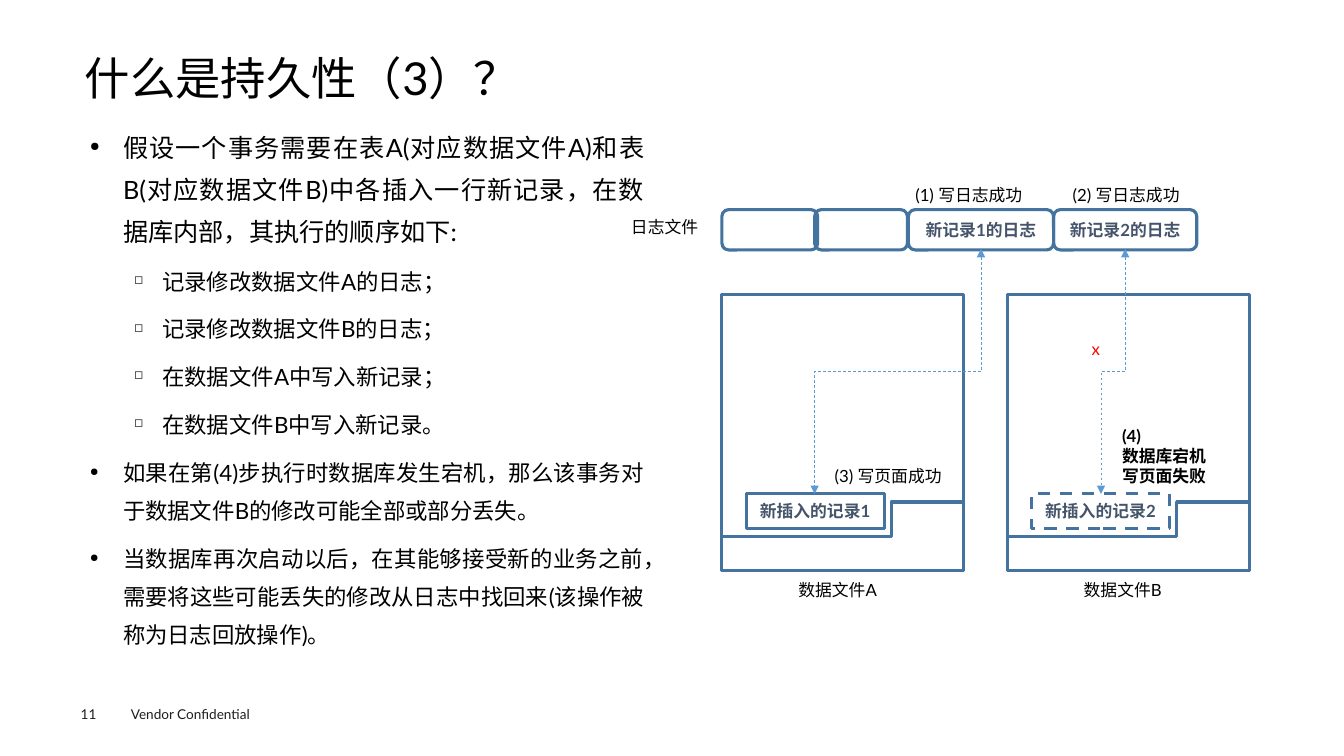
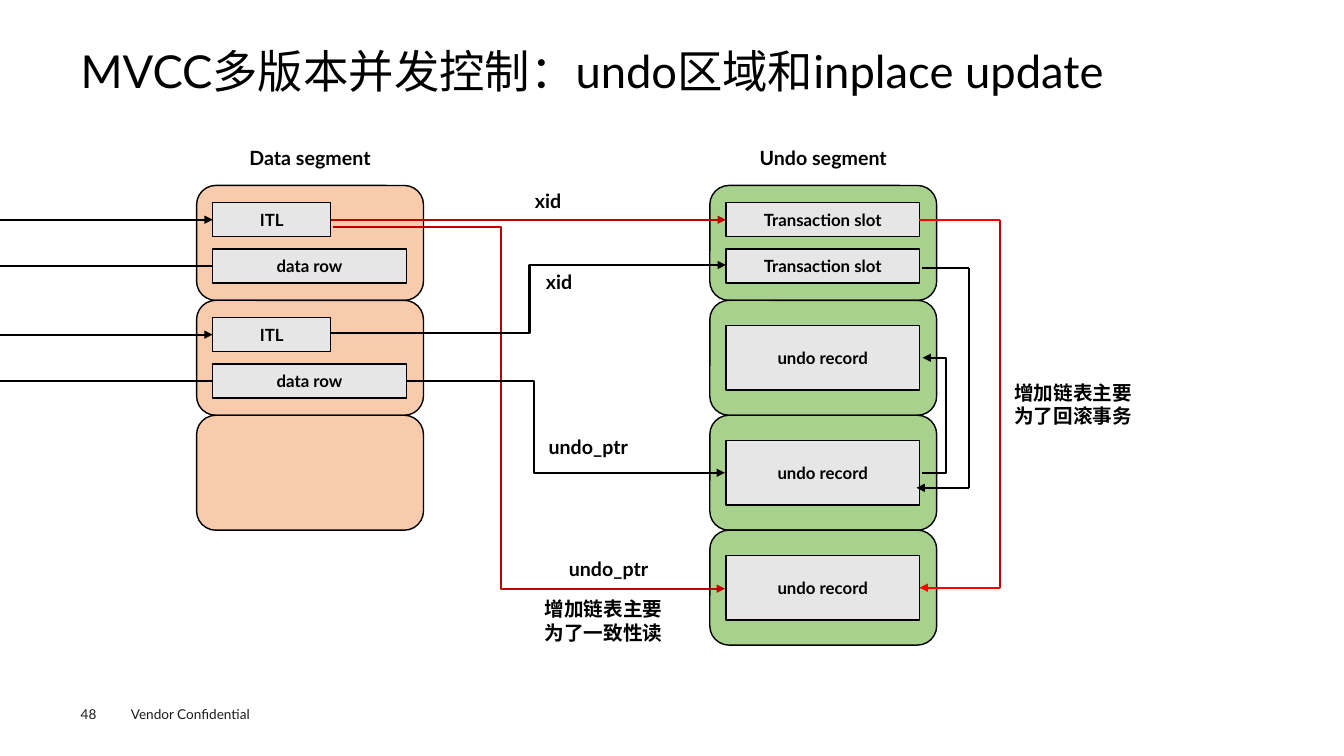
from dataclasses import dataclass

from lxml import etree
from pptx import Presentation, util as u
from pptx.dml.color import RGBColor
from pptx.enum import dml, shapes, text
from pptx.oxml.ns import qn

PX = 9144  # 100 px to the inch
FONT = "Lato"
COLORS = {
    "black": "000000", "foot": "1D1D1B", "frame": "43739E", "slate": "44546A",
    "sky": "5B9BD5", "red": "FF0000", "crimson": "C00000",
    "peach": "F8CBAD", "green": "A9D18E", "gray": "E7E6E6",
}
RECT = shapes.MSO_SHAPE.RECTANGLE
ROUND = shapes.MSO_SHAPE.ROUNDED_RECTANGLE
PAGE = shapes.MSO_SHAPE.FLOWCHART_ALTERNATE_PROCESS
LEFT, RIGHT = 1, 3


@dataclass
class Style:
    size: float = 12
    color: str = "black"
    bold: bool = False
    align: text.PP_ALIGN = text.PP_ALIGN.LEFT
    anchor: text.MSO_ANCHOR = text.MSO_ANCHOR.TOP
    pad: tuple = (10, 5)
    pitch: float = 1.0


@dataclass
class Look:
    fill: str = ""
    line: str = "black"
    width: float = 1
    dash: bool = False


@dataclass
class Item:
    words: str
    level: int = 0
    size: float = 16


MID = dict(align=text.PP_ALIGN.CENTER, anchor=text.MSO_ANCHOR.MIDDLE, bold=True)
TITLE = Style(32.4, pad=(0, 0), pitch=0.9)
FOOT = Style(9.7, "foot")
NUMBER = Style(9.7, "foot", pad=(0, 0))
NOTE = Style()
STRONG = Style(bold=True)
CELL = Style(color="slate", pad=(0, 0), **MID)
NODE = Style(pad=(0, 0), **MID)
LABEL = Style(14, **MID)

FRAME = Look(line="frame", width=2.25)
DASHED = Look(line="frame", width=2.25, dash=True)
GRAY = Look("gray")


def rgb(name: str) -> RGBColor:
    return RGBColor.from_string(COLORS[name])


def add_tag(parent, tag: str, **attrs):
    return etree.SubElement(parent, qn(tag), attrs)


def ink(para, size: float, color: str, bold: bool = False) -> None:
    for run in para.runs:
        font = run.font
        font.size, font.bold, font.name = u.Pt(size), bold, FONT
        font.color.rgb = rgb(color)
        add_tag(font._element, "a:ea", typeface=FONT)


def set_text(shape, words: str, style: Style) -> None:
    frame = shape.text_frame
    frame.text = words
    frame.word_wrap = True
    frame.auto_size = text.MSO_AUTO_SIZE.NONE
    frame.vertical_anchor = style.anchor
    frame.margin_left = frame.margin_right = style.pad[0] * PX
    frame.margin_top = frame.margin_bottom = style.pad[1] * PX
    for para in frame.paragraphs:
        para.alignment = style.align
        para.line_spacing = style.pitch
        ink(para, style.size, style.color, style.bold)


def add_text(slide, words: str, at: tuple, style: Style = NOTE):
    box = slide.shapes.add_textbox(*(n * PX for n in at))
    set_text(box, words, style)
    return box


def set_line(shape, look: Look) -> None:
    shape.line.color.rgb = rgb(look.line)
    shape.line.width = u.Pt(look.width)
    if look.dash:
        shape.line.dash_style = dml.MSO_LINE.DASH


def paint(shape, look: Look) -> None:
    shape.shadow.inherit = False
    if look.fill:
        shape.fill.solid()
        shape.fill.fore_color.rgb = rgb(look.fill)
    else:
        shape.fill.background()
    set_line(shape, look)


def add_box(slide, at: tuple, look: Look, words: str = "", style: Style = NODE, kind=RECT):
    box = slide.shapes.add_shape(kind, *(n * PX for n in at))
    paint(box, look)
    if words:
        set_text(box, words, style)
    return box


def add_step(slide, left: int, top: int, look: Look) -> None:
    """Draw the L-shaped foot of a data file."""
    points = [(left, top + 68), (left, top + 34), (left + 168, top + 34),
              (left + 168, top), (left + 240, top), (left + 240, top + 68)]
    pen = slide.shapes.build_freeform(*points[0], scale=PX)
    pen.add_line_segments(points[1:], close=True)
    paint(pen.convert_to_shape(), look)


def add_link(slide, start: tuple, end: tuple, look: Look, ends: str = "",
             kind=shapes.MSO_CONNECTOR.STRAIGHT):
    """Draw a connector; ends lists the arrowheads, h at the start and t at the end."""
    link = slide.shapes.add_connector(kind, *(round(n * PX) for n in start + end))
    set_line(link, look)
    line = link.line._get_or_add_ln()
    for key, tag in (("h", "a:headEnd"), ("t", "a:tailEnd")):
        if key in ends:
            add_tag(line, tag, type="triangle")
    add_tag(link._element.spPr, "a:effectLst")
    return link


def add_bend(slide, start: tuple, end: tuple, turn: int, look: Look) -> None:
    """Go across, turn at x = turn, then across again to an arrowhead."""
    link = add_link(slide, start, end, look, "t", shapes.MSO_CONNECTOR.ELBOW)
    share = (turn - start[0]) / (end[0] - start[0])
    geom = link._element.spPr.find(qn("a:prstGeom"))
    marks = geom.find(qn("a:avLst"))
    if marks is None:
        marks = add_tag(geom, "a:avLst")
    add_tag(marks, "a:gd", name="adj1", fmla=f"val {round(share * 100000)}")


def add_drop(slide, start: tuple, end: tuple, look: Look) -> None:
    """Go down, left at half height, and down again: an elbow turned by 90 degrees."""
    mid_x, mid_y = (start[0] + end[0]) / 2, (start[1] + end[1]) / 2
    half_w, half_h = (end[1] - start[1]) / 2, (start[0] - end[0]) / 2
    link = add_link(slide, (mid_x - half_w, mid_y - half_h), (mid_x + half_w, mid_y + half_h),
                    look, "ht", shapes.MSO_CONNECTOR.ELBOW)
    link._element.spPr.find(qn("a:xfrm")).set("rot", "5400000")


def add_list(slide, items: list[Item], at: tuple) -> None:
    box = add_text(slide, "\n".join(i.words for i in items), at, Style(pad=(9, 4), pitch=1.4))
    for para, item in zip(box.text_frame.paragraphs, items):
        indent, hang, mark, gap = ((33, 33, "●", 7.9), (72, 28, "◻", 7.2))[item.level]
        para.space_before = u.Pt(gap)
        if not item.level:
            para.alignment = text.PP_ALIGN.JUSTIFY
        for run in para.runs:
            run.font.size = u.Pt(item.size)
        props = para._p.get_or_add_pPr()
        props.set("marL", str(indent * PX))
        props.set("indent", str(-hang * PX))
        add_tag(props, "a:buSzPct", val="50000")
        add_tag(props, "a:buChar", char=mark)


def new_slide(deck, title: str, number: int, left: int, top: int):
    slide = deck.slides.add_slide(deck.slide_layouts[6])
    add_text(slide, "Vendor Confidential", (120, 695, 160, 27), FOOT)
    add_text(slide, str(number), (80, 700, 55, 16), NUMBER)
    add_text(slide, title, (left, top, 1173, 53), TITLE)
    return slide


def draw_log(deck) -> None:
    slide = new_slide(deck, "什么是持久性（3）？", 11, 84, 56)
    add_list(slide, [
        Item("假设一个事务需要在表A(对应数据文件A)和表B(对应数据文件B)中各插入一行新记录，"
             "在数据库内部，其执行的顺序如下:", size=18),
        Item("记录修改数据文件A的日志；", 1),
        Item("记录修改数据文件B的日志；", 1),
        Item("在数据文件A中写入新记录；", 1),
        Item("在数据文件B中写入新记录。", 1),
        Item("如果在第(4)步执行时数据库发生宕机，那么该事务对于数据文件B的修改可能全部或部分丢失。"),
        Item("当数据库再次启动以后，在其能够接受新的业务之前，需要将这些可能丢失的修改从日志中"
             "找回来(该操作被称为日志回放操作)。"),
    ], (80, 115, 568, 534))

    for left, width, words in ((716, 95, ""), (808, 92, ""),
                               (901, 144, "新记录1的日志"), (1045, 142, "新记录2的日志")):
        add_box(slide, (left, 208, width, 40), FRAME, words, CELL, ROUND)

    thin = Look(line="sky", width=0.5, dash=True)
    for left, name, row, look, log_x, row_x in ((716, "A", 1, FRAME, 973, 808),
                                                (999, "B", 2, DASHED, 1116, 1092)):
        add_box(slide, (left, 292, 240, 274), FRAME)
        add_step(slide, left, 498, FRAME)
        add_box(slide, (left + 24, 490, 137, 34), look, f"新插入的记录{row}", CELL)
        add_drop(slide, (log_x, 247), (row_x, 490), thin)
        add_text(slide, f"数据文件{name}", (left + 66, 570, 99, 30))

    for words, left, top, width in (("日志文件", 616, 210, 88), ("(1) 写日志成功", 898, 178, 133),
                                    ("(2) 写日志成功", 1054, 178, 133),
                                    ("(3) 写页面成功", 818, 457, 133)):
        add_text(slide, words, (left, top, width, 30))
    add_text(slide, "x", (1073, 331, 34, 30), Style(color="red"))
    add_text(slide, "(4)\n数据库宕机\n写页面失败", (1103, 417, 132, 71), STRONG)


def draw_undo(deck) -> None:
    slide = new_slide(deck, "MVCC多版本并发控制：undo区域和inplace update", 48, 80, 49)
    tops = [184 + 114 * i for i in range(4)]
    for left, fill, count, name in ((195, "peach", 3, "Data segment"),
                                    (704, "green", 4, "Undo segment")):
        add_text(slide, name, (left, 131, 225, 50), LABEL)
        for top in tops[:count]:
            add_box(slide, (left, top, 225, 114), Look(fill), kind=PAGE)

    black, crimson, red = (Look(line=c, width=1.5) for c in ("black", "crimson", "red"))
    heads = []
    for top in tops[:2]:
        head = add_box(slide, (211, top + 17, 117, 34), GRAY, "ITL")
        row = add_box(slide, (211, top + 63, 192, 34), GRAY, "data row")
        heads.append(head)
        add_link(slide, (0, top + 34), (211, top + 34), black, "t").end_connect(head, LEFT)
        add_link(slide, (0, top + 80), (211, top + 80), black).end_connect(row, LEFT)
    slots = [add_box(slide, (720, tops[0] + dy, 192, 34), GRAY, "Transaction slot")
             for dy in (17, 63)]
    undos = [add_box(slide, (720, top + 25, 192, 64), GRAY, "undo record") for top in tops[1:]]

    xid = add_link(slide, (328, 218), (720, 218), crimson, "t")
    xid.begin_connect(heads[0], RIGHT)
    xid.end_connect(slots[0], LEFT)
    add_bend(slide, (330, 225), (719, 584), 497, crimson)
    add_bend(slide, (328, 330), (720, 263), 525, black)
    add_bend(slide, (403, 378), (719, 469), 530, black)
    add_bend(slide, (914, 469), (915, 355), 939, black)

    add_link(slide, (914, 266), (961, 266), black)
    add_link(slide, (961, 266), (961, 484), black)
    add_link(slide, (961, 484), (909, 484), black, "t")
    add_link(slide, (912, 218), (992, 218), red).begin_connect(slots[0], RIGHT)
    add_link(slide, (992, 218), (992, 583), crimson)
    add_link(slide, (992, 583), (912, 583), red, "t").end_connect(undos[2], RIGHT)

    for words, left, top in (("xid", 474, 179), ("xid", 485, 259),
                             ("undo_ptr", 514, 423), ("undo_ptr", 534, 544)):
        add_text(slide, words, (left, top, 139, 40), LABEL)
    for words, left, top in (("增加链表主要为了回滚事务", 990, 376),
                             ("增加链表主要为了一致性读", 524, 591)):
        add_text(slide, words, (left, top, 149, 50), LABEL)


def main() -> None:
    deck = Presentation()
    deck.slide_width, deck.slide_height = 1333 * PX, 750 * PX
    draw_log(deck)
    draw_undo(deck)
    deck.save("out.pptx")


if __name__ == "__main__":
    main()
